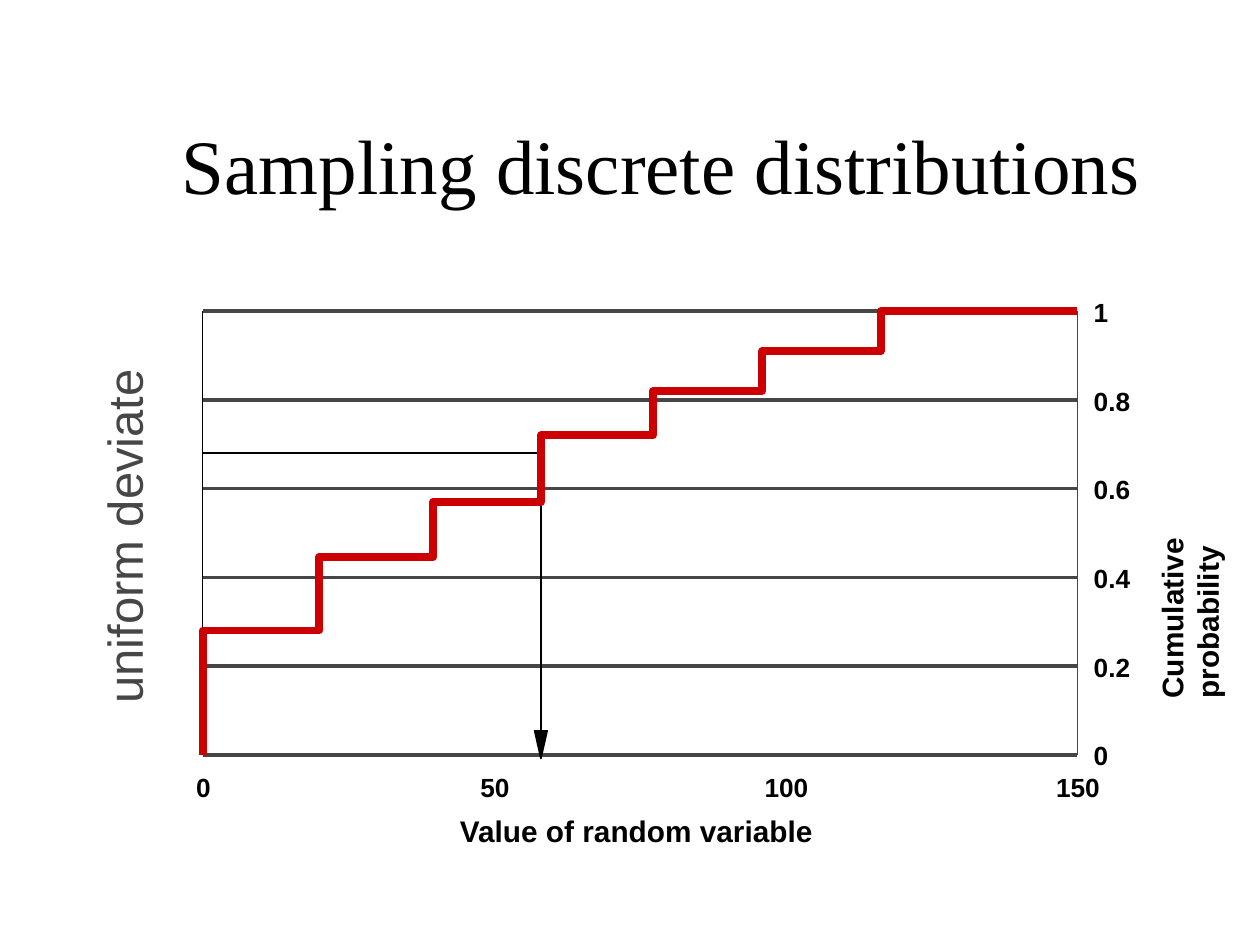
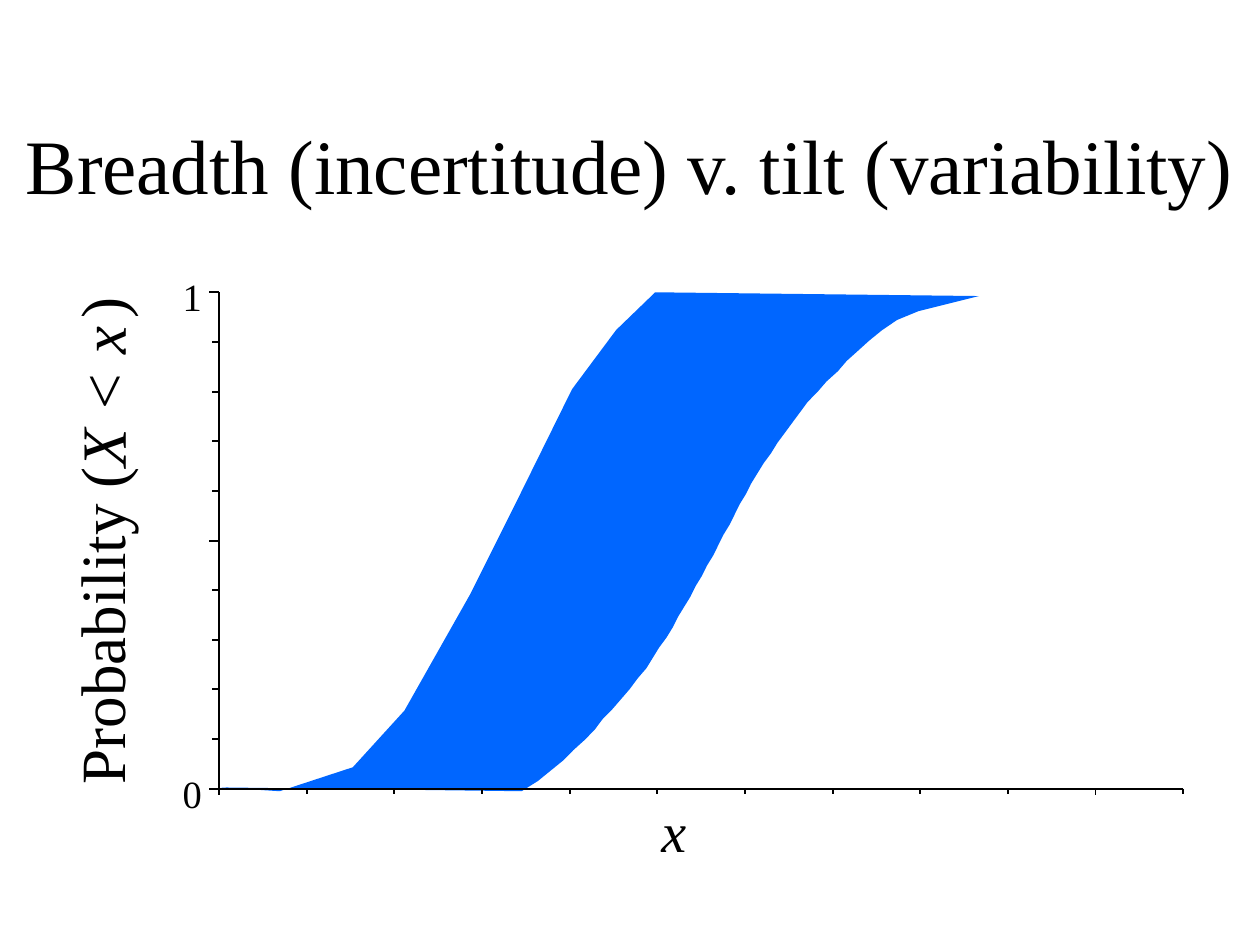
from dataclasses import dataclass
from lxml.etree import SubElement
from pptx import Presentation
from pptx.dml.color import RGBColor as Rgb
from pptx.enum.shapes import MSO_CONNECTOR as Link, MSO_SHAPE as Kind
from pptx.enum.text import MSO_ANCHOR as Anchor, PP_ALIGN as Align
from pptx.oxml.ns import qn
from pptx.util import Inches, Pt


@dataclass(frozen=True)
class Theme:
    black: str = "000000"
    gray: str = "464646"
    red: str = "CC0000"
    blue: str = "0066FF"
    serif: str = "Times New Roman"
    sans: str = "Arial"
    title: int = 44
    prob: int = 36
    var: int = 32
    side: int = 28
    mark: int = 22
    gap: int = 20
    name: int = 17
    tick: int = 15


T = Theme()
WIDE, HIGH = 10, 7.5

# Content: step curve as (end value, probability) pairs
STEPS = [(20, .28), (39.5, .445), (58, .57), (77.2, .72),
         (96, .82), (116.3, .91), (150, 1)]
VALUES = [0, 50, 100, 150]
PROBS = ["0", "0.2", "0.4", "0.6", "0.8", "1"]
DRAW = (58, .68)
STEP_TITLE = "Sampling discrete distributions"
BAND_TITLE = "Breadth (incertitude) v. tilt (variability)"

# Content: left edge as points, right edge as x at equal drops in y
LEFT = [(1.75, 6.25), (2.22, 6.28), (2.8, 6.09), (3.21, 5.64), (3.73, 4.72),
        (4.11, 3.96), (4.54, 3.09), (4.89, 2.62), (5.2, 2.32), (7.77, 2.35),
        (7.29, 2.47)]
RIGHT = [7.12, 7, 6.9, 6.81, 6.72, 6.65, 6.56, 6.49, 6.41, 6.35, 6.29, 6.23,
         6.17, 6.12, 6.06, 6.01, 5.96, 5.92, 5.87, 5.83, 5.79, 5.74, 5.7, 5.66,
         5.61, 5.57, 5.52, 5.48, 5.43, 5.38, 5.34, 5.29, 5.23, 5.18, 5.13, 5.06,
         5, 4.93, 4.86, 4.78, 4.72, 4.64, 4.55, 4.47, 4.37, 4.27, 4.14]
TOP, BASE = 2.54, 6.28
PROB_RUNS = [("Probability (", T.prob, False), ("X < x", T.prob, True),
             (" ", T.gap, True), (")", T.prob, False)]


# Helpers
def ink(font, size, color, face, bold=False, slant=False):
    font.size, font.name, font.bold, font.italic = Pt(size), face, bold, slant
    font.color.rgb = Rgb.from_string(color)


def text(slide, box, words, size, face=T.serif, color=T.black, bold=False,
         slant=False, align=Align.LEFT, turn=0, wrap=False):
    item = slide.shapes.add_textbox(*map(Inches, box))
    item.rotation = turn
    frame = item.text_frame
    frame.word_wrap = wrap
    frame.margin_left = frame.margin_right = 0
    frame.margin_top = frame.margin_bottom = 0
    para = frame.paragraphs[0]
    para.alignment = align
    if isinstance(words, str):
        para.text = words
        ink(para.font, size, color, face, bold, slant)
    else:
        for part, points, tilt in words:
            run = para.add_run()
            run.text = part
            ink(run.font, points, color, face, bold, tilt)
    return frame


def title(slide, words, left, width):
    frame = text(slide, (left, .67, width, 1.25), words, T.title,
                 align=Align.CENTER, wrap=True)
    frame.vertical_anchor = Anchor.MIDDLE


def line(slide, start, end, color=T.black, width=.88):
    rule = slide.shapes.add_connector(Link.STRAIGHT, *map(Inches, start + end))
    rule.line.color.rgb = Rgb.from_string(color)
    rule.line.width = Pt(width)
    SubElement(rule._element.spPr, qn("a:effectLst"))


def paint(shape, fill=None, edge=None, width=0):
    shape.shadow.inherit = False
    if fill:
        shape.fill.solid()
        shape.fill.fore_color.rgb = Rgb.from_string(fill)
    else:
        shape.fill.background()
    if edge:
        shape.line.color.rgb = Rgb.from_string(edge)
        shape.line.width = Pt(width)
    else:
        shape.line.fill.background()
    return shape


def path(slide, points, close=True, **look):
    spots = [(Inches(x), Inches(y)) for x, y in points]
    pen = slide.shapes.build_freeform(*spots[0])
    pen.add_line_segments(spots[1:], close=close)
    return paint(pen.convert_to_shape(), **look)


# Slide with the step curve
def steps(slide):
    left, top, wide, high = 1.61, 2.47, 6.94, 3.52
    right, base = left + wide, top + high

    def at(value, prob):
        return left + wide * value / VALUES[-1], base - high * prob

    frame = slide.shapes.add_shape(
        Kind.RECTANGLE, *map(Inches, (left, top, wide, high)))
    paint(frame, edge=T.black)
    title(slide, STEP_TITLE, .75, 9)

    # Grid and axes
    for prob in PROBS:
        y = at(0, float(prob))[1]
        line(slide, (left, y), (right, y), T.gray, 0)
        text(slide, (right + .13, y - .12, .29, .25), prob, T.tick, T.sans,
             bold=True)
    line(slide, (left, base), (right, base), T.gray, 2.25)
    line(slide, (right, base), (right, top), T.gray)
    for value in VALUES:
        x = at(value, 0)[0]
        text(slide, (x - .17, base + .13, .35, .25), str(value), T.tick, T.sans,
             bold=True, align=Align.CENTER)

    # Axis names
    text(slide, (3.65, 6.45, 2.81, .28), "Value of random variable", T.name,
         T.sans, bold=True)
    text(slide, (8.74, 4.56, 1.4, .57), "Cumulative probability", T.name,
         T.sans, bold=True, turn=270, wrap=True)
    text(slide, (-.35, 4.02, 2.66, .47), "uniform deviate", T.side, T.sans,
         T.gray, turn=270)

    # Sampled value
    x, y = at(*DRAW)
    line(slide, (left, y), (x, y))
    line(slide, (x, y), (x, base))
    path(slide, [(x + .05, base - .19), (x, base + .03), (x - .05, base - .19)],
         fill=T.black, edge=T.black, width=.88)

    # Curve
    points, start = [at(0, 0)], 0
    for end, prob in STEPS:
        points += [at(start, prob), at(end, prob)]
        start = end
    curve = path(slide, points, close=False, edge=T.red, width=4.5)
    SubElement(curve.line._get_or_add_ln(), qn("a:round"))


# Slide with the probability band
def band(slide):
    left, top, right, base = 1.74, 2.32, 9.39, 6.26
    cols, rows, width = 11, 10, 1.13
    drop = (BASE - TOP) / (len(RIGHT) - 1)
    edge = [(x, TOP + i * drop) for i, x in enumerate(RIGHT)]
    path(slide, LEFT + edge, fill=T.blue)
    title(slide, BAND_TITLE, 0, WIDE)

    # Axes and ticks
    line(slide, (left, base), (right, base), width=width)
    line(slide, (left, base), (left, top), width=width)
    for i in range(cols + 1):
        x = left + (right - left) * i / cols
        size = .05 if i % 10 == 0 else .04
        line(slide, (x, base), (x, base + size), width=width)
    for i in range(rows + 1):
        y = base - (base - top) * i / rows
        size = .08 if i % 5 == 0 else .06
        line(slide, (left, y), (left - size, y), width=width)

    # Labels
    text(slide, (-1.15, 3.99, 3.9, .6), PROB_RUNS, T.prob,
         align=Align.CENTER, turn=270)
    for mark, y in (("1", top), ("0", base)):
        text(slide, (1.45, y - .15, .15, .37), mark, T.mark,
             align=Align.CENTER)
    text(slide, (5.25, 6.32, .2, .53), "x", T.var, slant=True)


def main():
    deck = Presentation()
    deck.slide_width, deck.slide_height = Inches(WIDE), Inches(HIGH)
    for build in (steps, band):
        build(deck.slides.add_slide(deck.slide_layouts[6]))
    deck.save("out.pptx")


if __name__ == "__main__":
    main()
